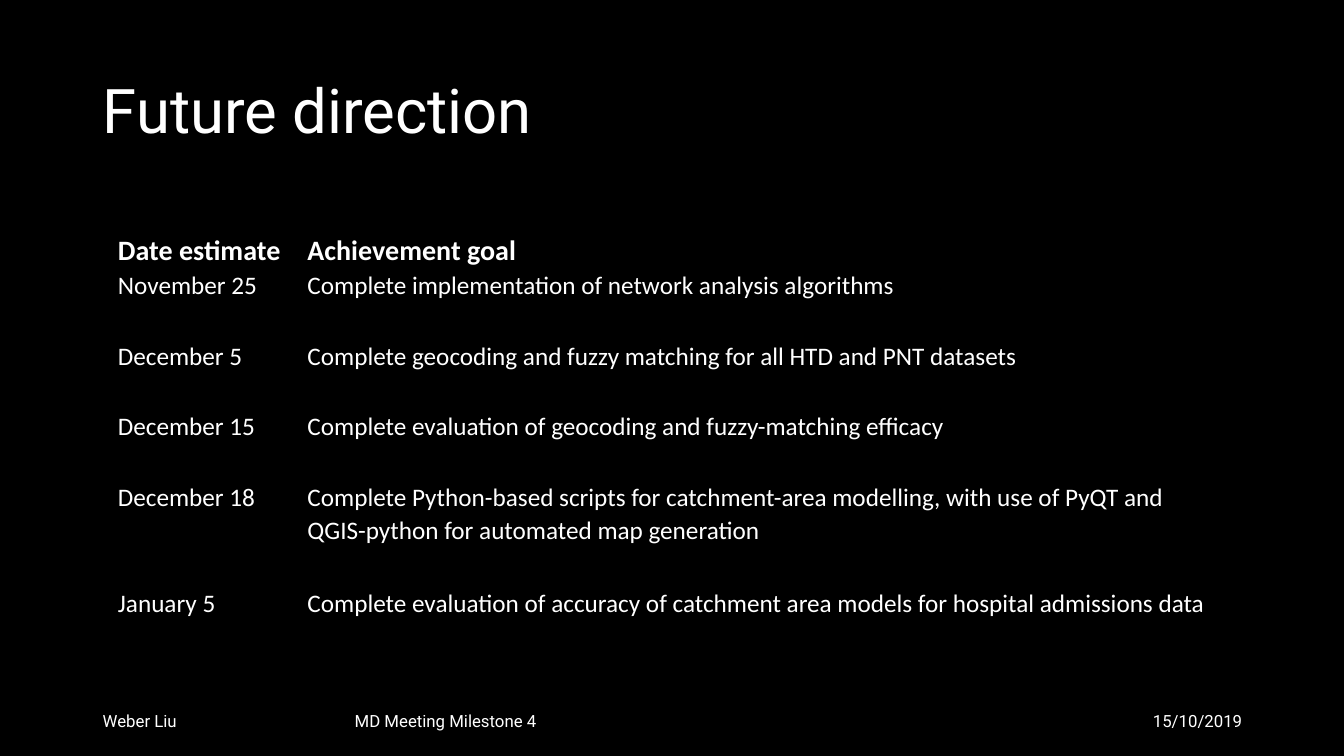
"""Build the "Future direction" slide with its milestone table."""
import pptx
import pptx.dml.color
import pptx.enum.text
import pptx.util

PX = 9144
COLOURS = {"background": "000000", "text": "FFFFFF"}
ALIGN = pptx.enum.text.PP_ALIGN
MIDDLE = pptx.enum.text.MSO_ANCHOR.MIDDLE
NO_GRID_STYLE = "{2D5ABB26-0587-4C30-8999-92F81FD0307C}"

MILESTONES = [
    ("Date estimate", "Achievement goal"),
    ("November 25", "Complete implementation of network analysis algorithms"),
    ("December 5", "Complete geocoding and fuzzy matching for all HTD and PNT datasets"),
    ("December 15", "Complete evaluation of geocoding and fuzzy-matching efficacy"),
    ("December 18", "Complete Python-based scripts for catchment-area modelling, "
                    "with use of PyQT and QGIS-python for automated map generation"),
    ("January 5", "Complete evaluation of accuracy of catchment area models "
                  "for hospital admissions data"),
]
COLUMN_WIDTHS = [188, 925]
ROW_HEIGHTS = [34, 70, 70, 70, 105, 70]
FOOTERS = [
    ("Weber Liu", 92, 111, ALIGN.LEFT),
    ("MD Meeting Milestone 4", 217, 450, ALIGN.CENTER),
    ("15/10/2019", 942, 300, ALIGN.RIGHT),
]


def write(frame, text, size, font, align=ALIGN.LEFT, spacing=1.0, bold=False):
    frame.text = text
    para = frame.paragraphs[0]
    para.alignment = align
    para.line_spacing = spacing
    span = para.runs[0]
    span.font.name = font
    span.font.size = pptx.util.Pt(size)
    span.font.bold = bold
    span.font.color.rgb = pptx.dml.color.RGBColor.from_string(COLOURS["text"])


deck = pptx.Presentation()
deck.slide_width = 1333 * PX
deck.slide_height = 750 * PX
page = deck.slides.add_slide(deck.slide_layouts[5])
page.background.fill.solid()
page.background.fill.fore_color.rgb = pptx.dml.color.RGBColor.from_string(COLOURS["background"])

title = page.shapes.title
title.left, title.top, title.width, title.height = 92 * PX, 40 * PX, 1150 * PX, 145 * PX
title.text_frame.vertical_anchor = MIDDLE
write(title.text_frame, "Future direction", 44, "Roboto", spacing=0.9)

table = page.shapes.add_table(
    len(MILESTONES), len(COLUMN_WIDTHS), 110 * PX, 230 * PX,
    sum(COLUMN_WIDTHS) * PX, sum(ROW_HEIGHTS) * PX).table
table.first_row = False
table.horz_banding = False
table._tbl.tblPr[0].text = NO_GRID_STYLE
for column, width in zip(table.columns, COLUMN_WIDTHS):
    column.width = width * PX
for row_number, (row, height, texts) in enumerate(zip(table.rows, ROW_HEIGHTS, MILESTONES)):
    row.height = height * PX
    heading = row_number == 0
    for cell, text in zip(row.cells, texts):
        cell.fill.background()
        cell.margin_left = cell.margin_right = 7 * PX
        cell.margin_top = cell.margin_bottom = 0
        write(cell.text_frame, text, 20 if heading else 18, "Calibri", spacing=1.07, bold=heading)

for text, left, width, align in FOOTERS:
    box = page.shapes.add_textbox(left * PX, 695 * PX, width * PX, 40 * PX)
    box.text_frame.word_wrap = True
    box.text_frame.vertical_anchor = MIDDLE
    write(box.text_frame, text, 12, "Roboto", align)

deck.save("out.pptx")
